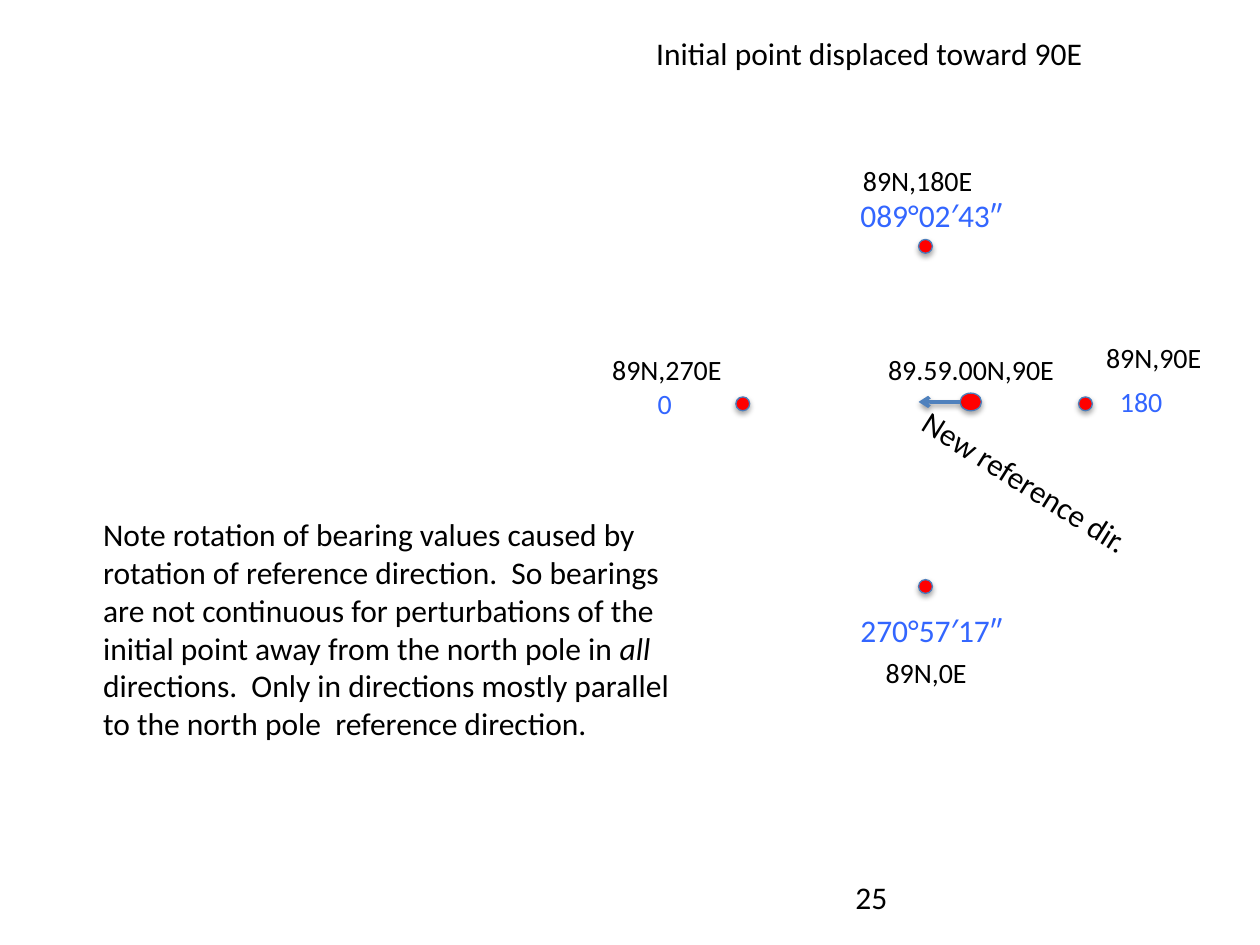
from lxml.etree import SubElement
from pptx import Presentation
from pptx.dml.color import RGBColor
from pptx.enum.shapes import MSO_CONNECTOR, MSO_SHAPE
from pptx.enum.text import MSO_AUTO_SIZE
from pptx.oxml.ns import qn
from pptx.util import Inches, Pt

BLACK = RGBColor(0x00, 0x00, 0x00)
BEARING_BLUE = RGBColor(0x33, 0x66, 0xFF)
DOT_RED = RGBColor(0xFF, 0x00, 0x00)
DOT_EDGE = RGBColor(0x4B, 0x7E, 0xBC)
ARROW_BLUE = RGBColor(0x4F, 0x81, 0xBD)


def add_text(slide, text, left, top, width, height=0.37, size=16,
             color=BLACK, wrap=False, rotation=0, grow=True):
    """Place one paragraph; text is a string or a list of (words, italic)."""
    box = slide.shapes.add_textbox(
        Inches(left), Inches(top), Inches(width), Inches(height))
    box.rotation = rotation
    frame = box.text_frame
    frame.word_wrap = wrap
    frame.auto_size = MSO_AUTO_SIZE.SHAPE_TO_FIT_TEXT if grow else MSO_AUTO_SIZE.NONE
    for words, italic in [(text, None)] if isinstance(text, str) else text:
        run = frame.paragraphs[0].add_run()
        run.text = words
        run.font.name = "Calibri"
        run.font.size = Pt(size)
        run.font.italic = italic
        run.font.color.rgb = color


def add_shadow(shape, opacity, distance):
    properties = shape._element.spPr
    effects = properties.find(qn("a:effectLst"))
    if effects is None:
        effects = SubElement(properties, qn("a:effectLst"))
    shadow = SubElement(effects, qn("a:outerShdw"), blurRad=str(Pt(3.1)),
                        dist=str(Pt(distance)), dir="5400000", rotWithShape="0")
    tint = SubElement(shadow, qn("a:srgbClr"), val="000000")
    SubElement(tint, qn("a:alpha"), val=str(opacity * 1000))


def add_dot(slide, left, top, width=0.11, height=0.11):
    dot = slide.shapes.add_shape(
        MSO_SHAPE.OVAL, Inches(left), Inches(top), Inches(width), Inches(height))
    dot.fill.solid()
    dot.fill.fore_color.rgb = DOT_RED
    dot.line.color.rgb = DOT_EDGE
    dot.line.width = Pt(0.75)
    dot.shadow.inherit = False
    add_shadow(dot, 35, 1.8)


def add_reference_arrow(slide, start_x, end_x, y):
    arrow = slide.shapes.add_connector(
        MSO_CONNECTOR.STRAIGHT, Inches(start_x), Inches(y), Inches(end_x), Inches(y))
    arrow.line.color.rgb = ARROW_BLUE
    arrow.line.width = Pt(2)
    SubElement(arrow.line._get_or_add_ln(), qn("a:tailEnd"), type="arrow")
    add_shadow(arrow, 38, 1.6)


def add_bearing_diagram(slide, left, top):
    # Displaced initial point
    add_dot(slide, left + 2.86, top + 1.87, 0.17, 0.14)

    # Surrounding points: west, south, north, east
    for x, y in [(1.08, 1.9), (2.53, 3.35), (2.53, 0.65), (3.8, 1.9)]:
        add_dot(slide, left + x, top + y)

    # Coordinates
    for position, x, y, width, wrap in [
        ("89N,180E", 1.99, 0, 1.08, False),
        ("89N,0E", 2.17, 3.9, 0.85, False),
        ("89N,270E", 0, 1.5, 1.08, False),
        ("89.59.00N,90E", 2.19, 1.5, 1.54, False),
        ("89N,90E", 3.92, 1.4, 1.34, True),
    ]:
        add_text(slide, position, left + x, top + y, width, wrap=wrap)

    # Bearings
    for bearing, x, y, width, height, size in [
        ("270°57′17″", 1.97, 3.55, 1.34, 0.4, 18),
        ("089°02′43″", 1.97, 0.26, 1.34, 0.4, 18),
        ("0", 0.36, 1.77, 0.32, 0.37, 16),
        ("180", 4.03, 1.75, 0.54, 0.37, 16),
    ]:
        add_text(slide, bearing, left + x, top + y, width, height,
                 size=size, color=BEARING_BLUE)

    # New reference direction
    add_reference_arrow(slide, left + 2.86, left + 2.53, top + 1.94)
    add_text(slide, "New reference dir.", left + 2.34, top + 2.41, 2.19, 0.4,
             size=18, rotation=32.2)


def add_note(slide, left, top, width, height):
    add_text(slide, [
        ("Note rotation of bearing values caused by rotation of reference "
         "direction.  So bearings are not continuous for perturbations of the "
         "initial point away from the north pole in ", False),
        ("all ", True),
        ("directions.  Only in directions mostly parallel to the north pole  "
         "reference direction.", False),
    ], left, top, width, height, size=18, wrap=True)


presentation = Presentation()
presentation.slide_width = Inches(10)
presentation.slide_height = Inches(7.5)
slide = presentation.slides.add_slide(presentation.slide_layouts[6])

add_text(slide, "Initial point displaced toward 90E", 5.11, 0.22, 3.63, 0.4, size=18)
add_bearing_diagram(slide, 4.76, 1.25)
add_note(slide, 0.72, 4.04, 4.71, 1.92)
add_text(slide, "25", 6.69, 6.92, 0.48, 0.4, size=18, wrap=True, grow=False)

presentation.save("out.pptx")
